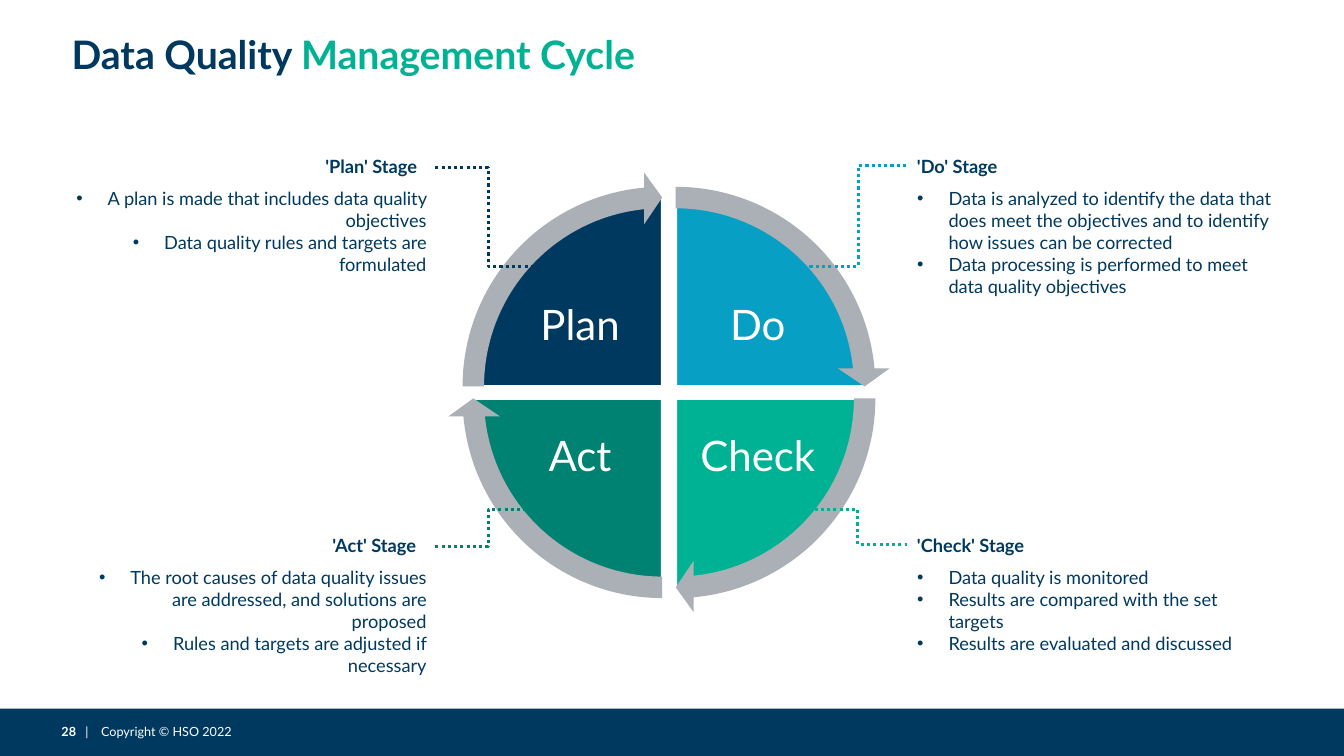
from lxml import etree
from pptx import Presentation
from pptx.dml.color import RGBColor
from pptx.enum.dml import MSO_LINE
from pptx.enum.shapes import MSO_CONNECTOR, MSO_SHAPE
from pptx.enum.text import MSO_ANCHOR, MSO_AUTO_SIZE, PP_ALIGN
from pptx.oxml.ns import qn
from pptx.util import Cm, Pt

LEFT, CENTER, RIGHT = PP_ALIGN.LEFT, PP_ALIGN.CENTER, PP_ALIGN.RIGHT
TOP, MIDDLE = MSO_ANCHOR.TOP, MSO_ANCHOR.MIDDLE
FIT, NO_FIT = MSO_AUTO_SIZE.SHAPE_TO_FIT_TEXT, MSO_AUTO_SIZE.NONE

# Content
NAVY, GREEN, GREY, WHITE = "00395F", "00B294", "ABAFB6", "FFFFFF"
TITLE = [("Data Quality ", NAVY), ("Management Cycle", GREEN)]
PAGE, COPYRIGHT = "28", "Copyright © HSO 2022"

# Clockwise from the top right: name, colour, side (x, y), heading left and
# width, leader start and end (cm), list items
STAGES = [
    ("Do", "079FC3", (1, -1), (22.86, 2.72), (20.4, 6.71), (22.86, 4.17),
     ["Data is analyzed to identify the data that does meet the objectives "
      "and to identify how issues can be corrected",
      "Data processing is performed to meet data quality objectives"]),
    ("Check", GREEN, (1, 1), (22.86, 3.43), (20.37, 12.83), (22.86, 13.72),
     ["Data quality is monitored",
      "Results are compared with the set targets",
      "Results are evaluated and discussed"]),
    ("Act", "008272", (-1, 1), (8.13, 2.84), (10.97, 13.77), (13.64, 12.83),
     ["The root causes of data quality issues are addressed, and solutions "
      "are proposed",
      "Rules and targets are adjusted if necessary"]),
    ("Plan", NAVY, (-1, -1), (7.95, 3.05), (10.97, 4.22), (13.64, 6.71),
     ["A plan is made that includes data quality objectives",
      "Data quality rules and targets are formulated"]),
]

# Layout in cm; angles as adjustment values, where 54 is a quarter turn
CENTER_X, CENTER_Y = 16.86, 9.89
GAP_X, GAP_Y = 0.17, 0.15
PIE, RING = 9.63, 10.82
LABEL_W, LABEL_H, LABEL_DX, LABEL_DY = 3.56, 2.64, 2.24, 1.66
QUARTER, FULL_TURN, FIRST_ANGLE = 54, 216, 162
HEADING_TOP = {-1: 3.8, 1: 13.33}
LIST_TOP = {-1: 4.6, 1: 14.15}
LIST_HEIGHT = {2: 3.02, 3: 2.49}
LIST_LEFT = {-1: 1.55, 1: 22.86}
LIST_W, INDENT = 9.45, 0.79


def rgb(value):
    return RGBColor.from_string(value)


def set_font(font, size, color, bold=False):
    font.name, font.size, font.bold = "Lato", Pt(size), bold
    font.color.rgb = rgb(color)


def place(shape, left, top, width, height):
    shape.left, shape.top = Cm(left), Cm(top)
    shape.width, shape.height = Cm(width), Cm(height)


def add_solid(kind, left, top, width, height, color):
    shape = slide.shapes.add_shape(kind, Cm(left), Cm(top), Cm(width), Cm(height))
    shape.shadow.inherit = False
    shape.fill.solid()
    shape.fill.fore_color.rgb = rgb(color)
    shape.line.fill.background()
    return shape


def add_text(left, top, width, height, margin=None, wrap=True):
    frame = slide.shapes.add_textbox(
        Cm(left), Cm(top), Cm(width), Cm(height)).text_frame
    frame.word_wrap = wrap
    if margin is not None:
        frame.margin_left = frame.margin_right = Cm(margin)
        frame.margin_top = frame.margin_bottom = Cm(margin)
    return frame


def add_bullet(paragraph):
    properties = paragraph._p.get_or_add_pPr()
    properties.set("marL", str(Cm(INDENT)))
    properties.set("indent", str(-Cm(INDENT)))
    etree.SubElement(properties, qn("a:buFont"), typeface="Arial")
    etree.SubElement(properties, qn("a:buChar"), char="•")


def add_tabs(paragraph, stops):
    tabs = etree.SubElement(paragraph._p.get_or_add_pPr(), qn("a:tabLst"))
    for stop in stops:
        etree.SubElement(tabs, qn("a:tab"), pos=str(Cm(stop)), algn="l")


prs = Presentation()
prs.slide_width, prs.slide_height = Cm(33.87), Cm(19.05)
comparison_layout = prs.slide_layouts[4]
slide = prs.slides.add_slide(comparison_layout)

# Title
title = slide.shapes.title
place(title, 1.55, 0.66, 30.76, 1.4)
title.text_frame.vertical_anchor = MIDDLE
title.text_frame.auto_size = NO_FIT
heading = title.text_frame.paragraphs[0]
heading.alignment = LEFT
set_font(heading.font, 28, NAVY, True)
for words, color in TITLE:
    run = heading.add_run()
    run.text = words
    set_font(run.font, 28, color, True)

# Footer
add_solid(MSO_SHAPE.RECTANGLE, 0, 17.86, 33.87, 1.19, NAVY)
footer = add_text(1.55, 18.24, 4.67, 0.38, margin=0)
footer.vertical_anchor = MIDDLE
footer_line = footer.paragraphs[0]
add_tabs(footer_line, [0.6, 1.0])
set_font(footer_line.font, 9, WHITE)
for words, bold in [(PAGE, True), ("\t|\t" + COPYRIGHT, False)]:
    run = footer_line.add_run()
    run.text = words
    set_font(run.font, 9, WHITE, bold)

# Quadrants and their labels
for i, (name, color, (x, y), *_) in enumerate(STAGES):
    start = (FIRST_ANGLE + i * QUARTER) % FULL_TURN
    pie = add_solid(MSO_SHAPE.PIE, CENTER_X + x * GAP_X - PIE / 2,
                    CENTER_Y + y * GAP_Y - PIE / 2, PIE, PIE, color)
    pie.adjustments[0] = start
    pie.adjustments[1] = (start + QUARTER) % FULL_TURN
    pie.line.color.rgb = rgb(WHITE)
    pie.line.width = Pt(2)

    label = add_text(CENTER_X + x * LABEL_DX - LABEL_W / 2,
                     CENTER_Y + y * LABEL_DY - LABEL_H / 2,
                     LABEL_W, LABEL_H, margin=0.1)
    label.vertical_anchor = MIDDLE
    label.text = name
    label.paragraphs[0].alignment = CENTER
    label.paragraphs[0].line_spacing = 0.9
    set_font(label.paragraphs[0].font, 30, WHITE)

# Ring of arrows
for i, (_, _, (x, y), *_) in enumerate(STAGES):
    start = (FIRST_ANGLE + i * QUARTER) % FULL_TURN
    arrow = add_solid(MSO_SHAPE.CIRCULAR_ARROW, CENTER_X + x * GAP_X - RING / 2,
                      CENTER_Y + y * GAP_Y - RING / 2, RING, RING, GREY)
    bends = [0.05, 3.28, start + QUARTER - 3.28, start, 0.06]
    for k, bend in enumerate(bends):
        arrow.adjustments[k] = bend

# Stage headings, lists and dotted leaders
for i, (name, color, (x, y), (left, width), begin, end, items) in enumerate(STAGES):
    stage = add_text(left, HEADING_TOP[y], width, 0.81, wrap=False)
    stage.auto_size = FIT
    stage.text = f"'{name}' Stage"
    set_font(stage.paragraphs[0].font, 13, NAVY, True)

    body = slide.placeholders[i + 1]
    place(body, LIST_LEFT[x], LIST_TOP[y], LIST_W, LIST_HEIGHT[len(items)])
    body.text_frame.vertical_anchor = TOP
    body.text_frame.auto_size = NO_FIT
    body.text_frame.text = "\n".join(items)
    for item in body.text_frame.paragraphs:
        item.alignment = LEFT if x > 0 else RIGHT
        item.space_before = Pt(0)
        add_bullet(item)
        set_font(item.font, 13, NAVY)

    leader = slide.shapes.add_connector(
        MSO_CONNECTOR.ELBOW, *(Cm(value) for value in begin + end))
    leader.line.color.rgb = rgb(color)
    leader.line.width = Pt(2.25)
    leader.line.dash_style = MSO_LINE.ROUND_DOT
    etree.SubElement(leader._element.spPr, qn("a:effectLst"))

prs.save("out.pptx")
